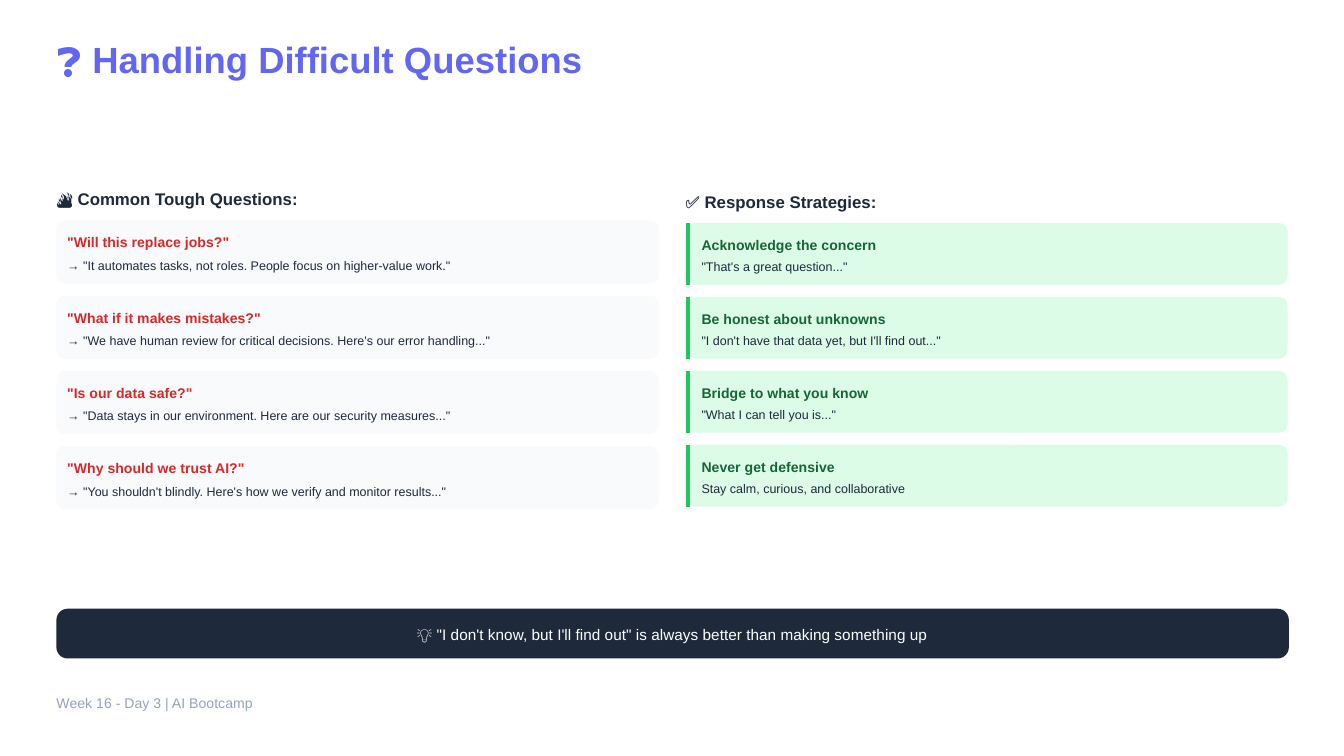
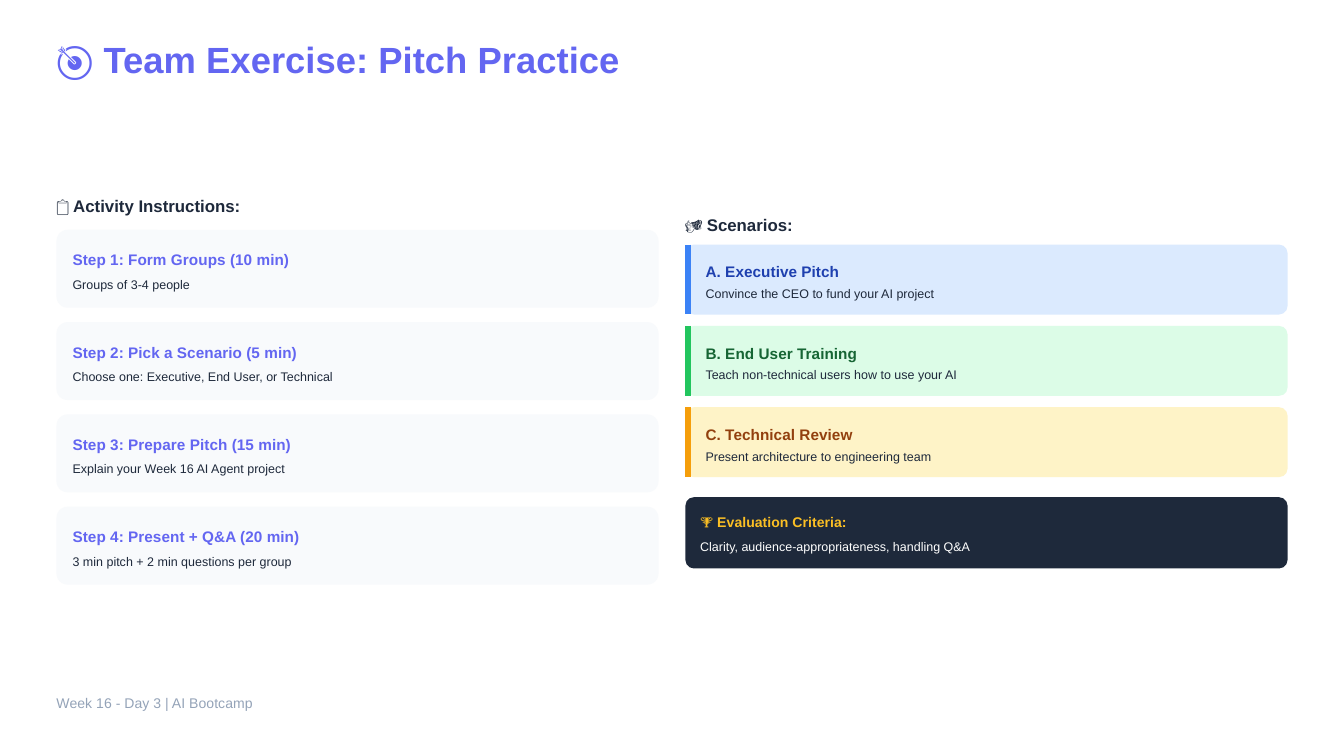
from dataclasses import dataclass

from lxml import etree
from pptx import Presentation
from pptx.dml.color import RGBColor
from pptx.enum.shapes import MSO_CONNECTOR as Connector, MSO_SHAPE as Shape
from pptx.enum.text import MSO_ANCHOR as Anchor, PP_ALIGN as Align
from pptx.oxml.ns import qn
from pptx.util import Inches, Pt


@dataclass(frozen=True)
class Theme:
    font: str = "Arial"
    title_size: float = 19.5
    heading_size: float = 9
    large_size: float = 8.25
    label_size: float = 7.5
    detail_size: float = 6.75
    leading: float = 1.4
    background: str = "FFFFFF"
    primary: str = "6366F1"
    dark: str = "1E293B"
    light: str = "FFFFFF"
    muted: str = "94A3B8"
    panel: str = "F8FAFC"
    alert: str = "DC2626"
    highlight: str = "FBBF24"


THEME = Theme()
SLIDE_WIDTH = Inches(10)
SLIDE_HEIGHT = SLIDE_WIDTH * 9 // 16
LEFT, RIGHT = 0.42, 5.10
COLUMN_WIDTH, FULL_WIDTH = 4.48, 9.17
FOOTER = "Week 16 - Day 3 | AI Bootcamp"


@dataclass(frozen=True)
class Palette:
    fill: str
    title: str
    accent: str = ""
    detail: str = THEME.dark


QUESTION = Palette(THEME.panel, THEME.alert)
STEP = Palette(THEME.panel, THEME.primary)
BLUE = Palette("DBEAFE", "1E40AF", "3B82F6")
GREEN = Palette("DCFCE7", "166534", "22C55E")
AMBER = Palette("FEF3C7", "92400E", "F59E0B")
DARK = Palette(THEME.dark, THEME.highlight, detail=THEME.light)


@dataclass(frozen=True)
class CardStyle:
    """Card measures: offsets in inches from the card corner, type in points."""
    height: float
    inset: float
    title_offset: float
    detail_offset: float
    title_size: float = THEME.label_size
    radius: float = 4.5
    accent_width: float = 0


QUESTION_CARD = CardStyle(0.47, 0.08, 0.08, 0.26)
STRATEGY_CARD = CardStyle(0.46, 0.12, 0.08, 0.25, accent_width=2.25)
STEP_CARD = CardStyle(0.58, 0.12, 0.13, 0.33, THEME.large_size, radius=6)
SCENARIO_CARD = CardStyle(0.52, 0.15, 0.11, 0.29, THEME.large_size, accent_width=3)
CRITERIA_CARD = CardStyle(0.53, 0.11, 0.10, 0.29)


def add_text(slide, text, left, top, width, size, color,
             bold=False, align=Align.LEFT, leading=THEME.leading):
    """Add a one-line text box as high as its line."""
    line_height = Pt(size * leading)
    box = slide.shapes.add_textbox(Inches(left), Inches(top), Inches(width), line_height)
    frame = box.text_frame
    frame.margin_left = frame.margin_right = frame.margin_top = frame.margin_bottom = 0
    frame.word_wrap = True
    frame.vertical_anchor = Anchor.TOP
    frame.text = text
    paragraph = frame.paragraphs[0]
    paragraph.alignment = align
    paragraph.line_spacing = line_height
    font = paragraph.runs[0].font
    font.name, font.size, font.bold = THEME.font, Pt(size), bold
    font.color.rgb = RGBColor.from_string(color)


def add_panel(slide, left, top, width, height, fill, radius):
    shape = slide.shapes.add_shape(
        Shape.ROUNDED_RECTANGLE, Inches(left), Inches(top), Inches(width), Inches(height))
    shape.adjustments[0] = Pt(radius) / Inches(height)
    shape.shadow.inherit = False
    shape.fill.solid()
    shape.fill.fore_color.rgb = RGBColor.from_string(fill)
    shape.line.fill.background()


def add_accent(slide, x, top, height, color, width):
    line = slide.shapes.add_connector(
        Connector.STRAIGHT, Inches(x), Inches(top), Inches(x), Inches(top + height))
    line.line.color.rgb = RGBColor.from_string(color)
    line.line.width = Pt(width)
    etree.SubElement(line._element.spPr, qn("a:effectLst"))


def add_card(slide, left, top, style, palette, title, detail):
    add_panel(slide, left, top, COLUMN_WIDTH, style.height, palette.fill, style.radius)
    if palette.accent:
        add_accent(slide, left + 0.02, top, style.height, palette.accent, style.accent_width)
    text_left, text_width = left + style.inset, COLUMN_WIDTH - style.inset
    add_text(slide, title, text_left, top + style.title_offset, text_width,
             style.title_size, palette.title, bold=True)
    add_text(slide, detail, text_left, top + style.detail_offset, text_width,
             THEME.detail_size, palette.detail)


def add_card_column(slide, left, heading, heading_top, first_top, last_top, style, cards):
    """Add a heading and cards spread evenly between two top positions."""
    add_text(slide, heading, left, heading_top, 4.57, THEME.heading_size, THEME.dark, bold=True)
    pitch = (last_top - first_top) / (len(cards) - 1)
    for index, (palette, title, detail) in enumerate(cards):
        add_card(slide, left, first_top + index * pitch, style, palette, title, detail)


def add_banner(slide, text, top):
    add_panel(slide, LEFT, top, FULL_WIDTH, 0.37, THEME.dark, radius=6)
    add_text(slide, text, LEFT, top + 0.1, FULL_WIDTH,
             THEME.large_size, THEME.light, align=Align.CENTER)


def add_titled_slide(presentation, title):
    slide = presentation.slides.add_slide(presentation.slide_layouts[6])
    slide.background.fill.solid()
    slide.background.fill.fore_color.rgb = RGBColor.from_string(THEME.background)
    add_text(slide, title, LEFT, 0.33, 4.69, THEME.title_size, THEME.primary,
             bold=True, leading=1)
    return slide


def add_footer(slide):
    add_text(slide, FOOTER, LEFT, 5.15, 9.35, THEME.label_size, THEME.muted)


def build_questions_slide(presentation):
    slide = add_titled_slide(presentation, "❓ Handling Difficult Questions")
    add_card_column(slide, LEFT, "🔥 Common Tough Questions:", 1.38, 1.64, 3.32, QUESTION_CARD, [
        (QUESTION, '"Will this replace jobs?"',
         '→ "It automates tasks, not roles. People focus on higher-value work."'),
        (QUESTION, '"What if it makes mistakes?"',
         '→ "We have human review for critical decisions. Here\'s our error handling..."'),
        (QUESTION, '"Is our data safe?"',
         '→ "Data stays in our environment. Here are our security measures..."'),
        (QUESTION, '"Why should we trust AI?"',
         '→ "You shouldn\'t blindly. Here\'s how we verify and monitor results..."'),
    ])
    add_card_column(slide, RIGHT, "✅ Response Strategies:", 1.40, 1.66, 3.31, STRATEGY_CARD, [
        (GREEN, "Acknowledge the concern", '"That\'s a great question..."'),
        (GREEN, "Be honest about unknowns", '"I don\'t have that data yet, but I\'ll find out..."'),
        (GREEN, "Bridge to what you know", '"What I can tell you is..."'),
        (GREEN, "Never get defensive", "Stay calm, curious, and collaborative"),
    ])
    add_banner(slide, '💡 "I don\'t know, but I\'ll find out" is always better '
                      'than making something up', 4.53)
    add_footer(slide)


def build_exercise_slide(presentation):
    slide = add_titled_slide(presentation, "🎯 Team Exercise: Pitch Practice")
    add_card_column(slide, LEFT, "📋 Activity Instructions:", 1.43, 1.71, 3.77, STEP_CARD, [
        (STEP, "Step 1: Form Groups (10 min)", "Groups of 3-4 people"),
        (STEP, "Step 2: Pick a Scenario (5 min)", "Choose one: Executive, End User, or Technical"),
        (STEP, "Step 3: Prepare Pitch (15 min)", "Explain your Week 16 AI Agent project"),
        (STEP, "Step 4: Present + Q&A (20 min)", "3 min pitch + 2 min questions per group"),
    ])
    add_card_column(slide, RIGHT, "🎭 Scenarios:", 1.57, 1.82, 3.03, SCENARIO_CARD, [
        (BLUE, "A. Executive Pitch", "Convince the CEO to fund your AI project"),
        (GREEN, "B. End User Training", "Teach non-technical users how to use your AI"),
        (AMBER, "C. Technical Review", "Present architecture to engineering team"),
    ])
    add_card(slide, RIGHT, 3.70, CRITERIA_CARD, DARK, "🏆 Evaluation Criteria:",
             "Clarity, audience-appropriateness, handling Q&A")
    add_footer(slide)


def main():
    presentation = Presentation()
    presentation.slide_width = SLIDE_WIDTH
    presentation.slide_height = SLIDE_HEIGHT
    build_questions_slide(presentation)
    build_exercise_slide(presentation)
    presentation.save("out.pptx")


if __name__ == "__main__":
    main()
